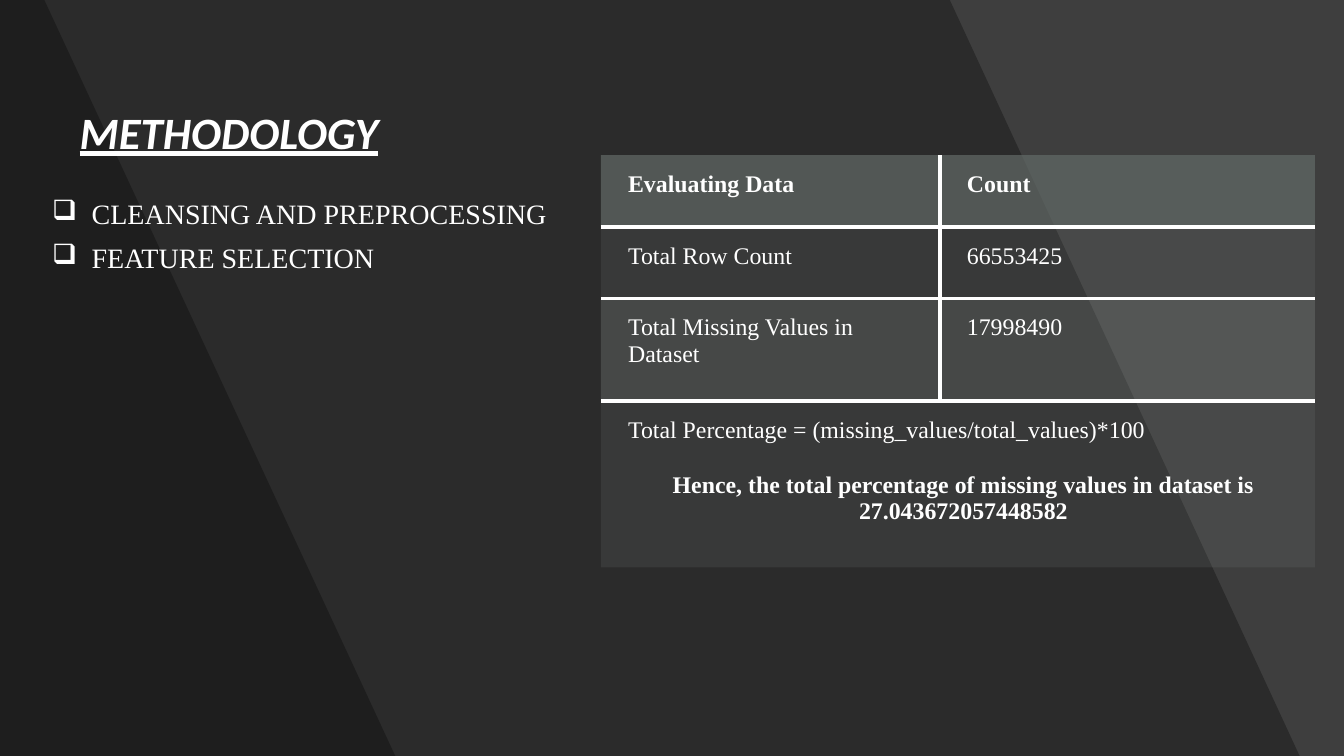
from dataclasses import dataclass

from lxml import etree
from pptx import Presentation
from pptx.dml.color import RGBColor
from pptx.enum.shapes import MSO_SHAPE
from pptx.enum.text import MSO_ANCHOR, PP_ALIGN
from pptx.oxml.ns import qn
from pptx.util import Inches, Pt

RECTANGLE = MSO_SHAPE.RECTANGLE
MIDDLE = MSO_ANCHOR.MIDDLE
LEFT, CENTER, JUSTIFY = PP_ALIGN.LEFT, PP_ALIGN.CENTER, PP_ALIGN.JUSTIFY
PLAIN_TABLE = "{2D5ABB26-0587-4C30-8999-92F81FD0307C}"


@dataclass(frozen=True)
class Theme:
    background: str = "454545"
    shade: str = "000000"
    text: str = "FFFFFF"
    header: str = "636B68"
    body: str = "878E8B"
    heading_font: str = "Calibri"
    body_font: str = "Times New Roman"
    title_size: int = 32
    list_size: int = 20
    table_size: int = 17
    rule_width: int = 3


def set_attributes(target, values):
    for name, value in values.items():
        setattr(target, name, value)


def paint(fill, color, opacity):
    """Fill solidly; opacity is a percentage."""
    fill.solid()
    fill.fore_color.rgb = RGBColor.from_string(color)
    color_element = fill._xPr.find(".//" + qn("a:srgbClr"))
    etree.SubElement(color_element, qn("a:alpha"), val=str(opacity * 1000))


class SlideBuilder:
    """Places elements on one slide, in percent of its width and height."""

    def __init__(self, deck, theme):
        self.deck, self.theme = deck, theme
        self.slide = deck.slides.add_slide(deck.slide_layouts[5])
        self.shapes = self.slide.shapes
        backdrop = self.slide.background.fill
        backdrop.solid()
        backdrop.fore_color.rgb = RGBColor.from_string(theme.background)

    def x(self, percent):
        return round(self.deck.slide_width * percent / 100)

    def y(self, percent):
        return round(self.deck.slide_height * percent / 100)

    def box(self, left, top, width, height):
        return self.x(left), self.y(top), self.x(width), self.y(height)

    def style(self, paragraph, **formats):
        color = RGBColor.from_string(self.theme.text)
        paragraph.font.color.rgb = color
        set_attributes(paragraph.font, formats)

    def shade(self, shape, opacity):
        paint(shape.fill, self.theme.shade, opacity)
        shape.line.fill.background()
        shape.shadow.inherit = False

    def veil(self, opacity):
        area = self.box(0, 0, 100, 100)
        self.shade(self.shapes.add_shape(RECTANGLE, *area), opacity)

    def slanted_band(self, top_edge, bottom_edge, opacity):
        outline = self.shapes.build_freeform(0, 0)
        corners = [(top_edge, 0), (bottom_edge, 100), (0, 100)]
        outline.add_line_segments([(self.x(h), self.y(v)) for h, v in corners])
        self.shade(outline.convert_to_shape(), opacity)

    def title(self, text, area):
        heading = self.shapes.title
        # The placeholder comes first in the tree, so lift it above the bands.
        self.shapes._spTree.append(heading._element)
        places = zip(("left", "top", "width", "height"), self.box(*area))
        set_attributes(heading, dict(places))
        frame = heading.text_frame
        frame.text = text
        frame.vertical_anchor = MIDDLE
        line = frame.paragraphs[0]
        set_attributes(line, {"alignment": LEFT, "line_spacing": 0.9})
        self.style(line, name=self.theme.heading_font,
                   size=Pt(self.theme.title_size),
                   bold=True, italic=True, underline=True)

    def bullet_list(self, topics, area, mark, indent):
        frame = self.shapes.add_textbox(*self.box(*area)).text_frame
        frame.word_wrap = True
        for index, topic in enumerate(topics):
            line = frame.add_paragraph() if index else frame.paragraphs[0]
            line.text = topic
            line.line_spacing = 0.9
            if index:
                line.space_before = Pt(10)
            properties = line._p.get_or_add_pPr()
            properties.set("marL", str(indent))
            properties.set("indent", str(-indent))
            etree.SubElement(properties, qn("a:buChar"), char=mark)
            self.style(line, name=self.theme.body_font,
                       size=Pt(self.theme.list_size))

    def rules(self, cell, visible):
        """Draw the visible sides (of L, R, T, B) and blank the others."""
        properties = cell._tc.get_or_add_tcPr()
        for place, side in enumerate("LRTB"):
            edge = etree.Element(qn("a:ln" + side),
                                 w=str(Pt(self.theme.rule_width)))
            if side in visible:
                solid = etree.SubElement(edge, qn("a:solidFill"))
                etree.SubElement(solid, qn("a:srgbClr"), val=self.theme.text)
            else:
                etree.SubElement(edge, qn("a:noFill"))
            properties.insert(place, edge)

    def cell_text(self, cell, lines):
        """Write lines given as (text, alignment, bold)."""
        side = Inches(0.16)
        set_attributes(cell, {"margin_left": Inches(0.27), "margin_right": side,
                              "margin_top": side, "margin_bottom": side})
        frame = cell.text_frame
        for index, (text, alignment, bold) in enumerate(lines):
            line = frame.add_paragraph() if index else frame.paragraphs[0]
            line.text = text
            line.alignment = alignment
            if index:
                line.space_before = Pt(20)
            self.style(line, name=self.theme.body_font, bold=bold,
                       size=Pt(self.theme.table_size))

    def table(self, records, conclusion, corner, widths, heights, fills):
        """Build rows of records, then a conclusion across all columns."""
        area = self.box(*corner, sum(widths), sum(heights))
        table = self.shapes.add_table(len(heights), len(widths), *area).table
        set_attributes(table, {"first_row": False, "horz_banding": False})
        table._tbl.tblPr.find(qn("a:tableStyleId")).text = PLAIN_TABLE
        for column, width in zip(table.columns, widths):
            column.width = self.x(width)
        for row, height in zip(table.rows, heights):
            row.height = self.y(height)
        last = len(records)
        table.cell(last, 0).merge(table.cell(last, len(widths) - 1))
        for r, fill in enumerate(fills):
            for c in range(len(widths)):
                cell = table.cell(r, c)
                paint(cell.fill, *fill)
                inner = ("T" if r else "") + ("B" if r < last else "")
                if r < last:
                    inner += ("L" if c else "") + \
                        ("R" if c < len(widths) - 1 else "")
                    self.cell_text(cell, [(records[r][c], LEFT, r == 0)])
                self.rules(cell, inner)
        self.cell_text(table.cell(last, 0), conclusion)


def main():
    deck = Presentation()
    deck.slide_width, deck.slide_height = Inches(13.33), Inches(7.5)
    theme = Theme()
    page = SlideBuilder(deck, theme)
    page.veil(9)
    page.slanted_band(70.67, 96.7, 30)
    page.slanted_band(3.3, 29.41, 30)
    page.title("METHODOLOGY", (5.18, 8.13, 86.35, 19.33))
    page.bullet_list(["CLEANSING AND PREPROCESSING", "FEATURE SELECTION"],
                     (3.15, 25.87, 40.51, 58.13), "❑", Inches(0.39))
    page.table(
        records=[("Evaluating Data", "Count"),
                 ("Total Row Count", "66553425"),
                 ("Total Missing Values in Dataset", "17998490")],
        conclusion=[
            ("Total Percentage = (missing_values/total_values)*100",
             JUSTIFY, False),
            ("Hence, the total percentage of missing values in dataset is "
             "27.043672057448582", CENTER, True)],
        corner=(44.71, 20.53),
        widths=(25.21, 27.91),
        heights=(9.47, 9.47, 13.6, 22),
        fills=[(theme.header, 70), (theme.body, 15),
               (theme.body, 30), (theme.body, 15)])
    deck.save("out.pptx")


if __name__ == "__main__":
    main()
